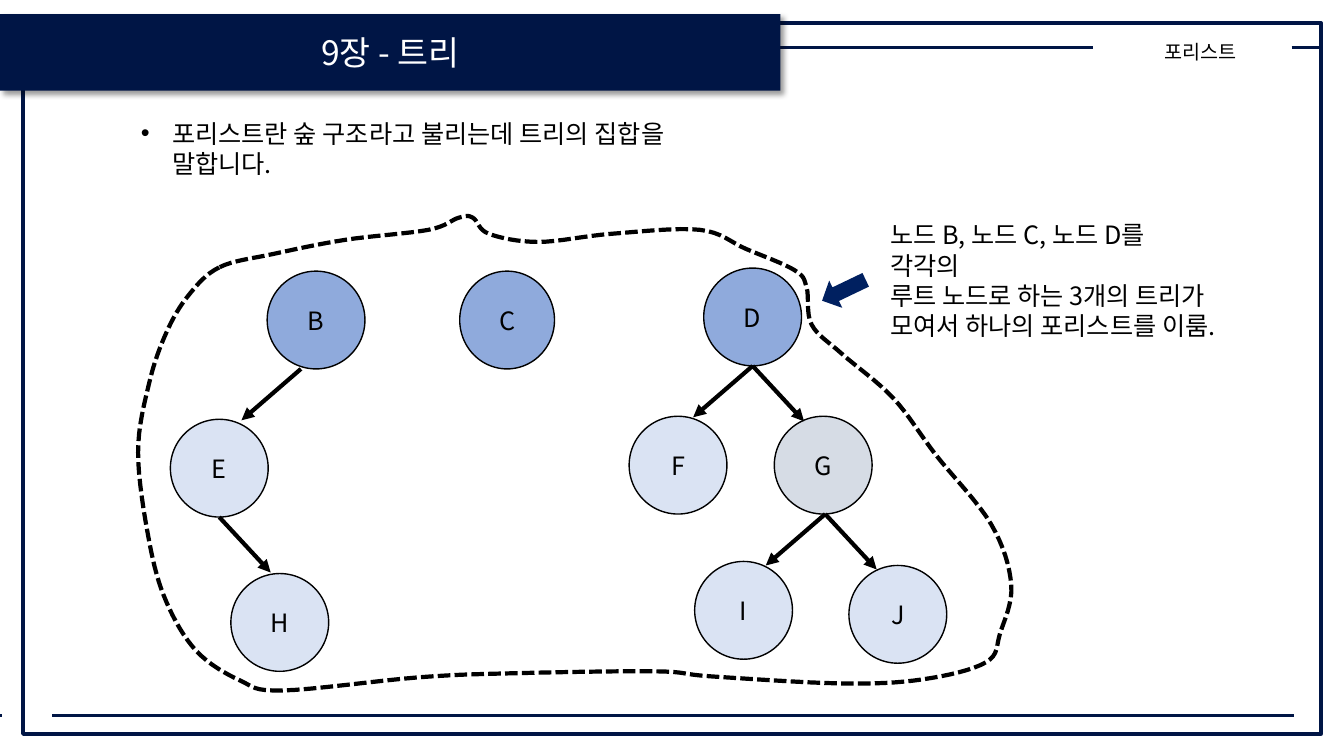
from lxml import etree
from pptx import Presentation
from pptx import util as u
from pptx.dml.color import RGBColor
from pptx.enum import dml, shapes, text
from pptx.oxml import parse_xml
from pptx.oxml.ns import nsdecls, qn

FONT = "Noto Sans CJK KR"
BLACK = RGBColor(0, 0, 0)
WHITE = RGBColor(255, 255, 255)
NAVY = RGBColor(0x00, 0x15, 0x45)
ARROW = RGBColor(0x00, 0x20, 0x60)
ROOT = RGBColor(0x8F, 0xAA, 0xDC)
LEAF = RGBColor(0xDA, 0xE3, 0xF3)
GRAY = RGBColor(0xD6, 0xDC, 0xE5)

RULES = [  # x1, x2, y
    (7.74, 10.84, 0.47), (12.81, 13.1, 0.47),
    (0.52, 12.83, 7.1), (0, 0.02, 7.1),
]

SIZE = 0.97
NODES = {  # label: left, top, width, colour
    "B": (2.65, 2.69, SIZE, ROOT),
    "C": (4.56, 2.69, 0.94, ROOT),
    "D": (6.98, 2.66, SIZE, ROOT),
    "E": (1.69, 4.16, SIZE, LEAF),
    "F": (6.24, 4.13, SIZE, LEAF),
    "G": (7.68, 4.13, SIZE, GRAY),
    "H": (2.29, 5.69, SIZE, LEAF),
    "I": (6.89, 5.57, SIZE, LEAF),
    "J": (8.42, 5.61, SIZE, LEAF),
}
# An edge leaves the bottom of its parent and takes one of two steps.
LEFT, RIGHT = (-0.59, 0.51), (0.51, 0.55)
BRANCHES = {"B": [LEFT], "E": [RIGHT], "D": [LEFT, RIGHT], "G": [LEFT, RIGHT]}
SHIFT = {"B": -0.15, "G": 0.02}  # sideways from the bottom centre

# Bends of the forest border, clockwise; a smooth curve joins them.
NORTH = [(2.18, 2.65), (2.71, 2.52), (3.42, 2.38), (4.25, 2.28), (4.55, 2.16),
         (4.69, 2.16), (4.85, 2.32), (5.34, 2.4), (6.06, 2.32), (6.94, 2.28)]
EAST = [(7.4, 2.47), (7.88, 2.68), (8, 2.85), (8.05, 3.22), (8.35, 3.51),
        (8.86, 3.95), (9.28, 4.51), (9.83, 5.2), (10.03, 5.8), (9.92, 6.28)]
SOUTH = [(9.78, 6.57), (9.15, 6.74), (8.34, 6.78), (7.05, 6.71), (6.5, 6.66),
         (5.06, 6.68), (4.15, 6.72), (2.8, 6.85), (2.38, 6.75)]
WEST = [(1.95, 6.46), (1.65, 5.97), (1.48, 5.37), (1.37, 4.49), (1.48, 3.8),
        (1.65, 3.3), (1.87, 2.93)]
STEPS = 8  # straight pieces between two bends


def inch(*nums):
    return [u.Inches(n) for n in nums]


def write(para, words, size, color=BLACK):
    run = para.add_run()
    run.text = words
    run.font.name = FONT
    run.font.size = u.Pt(size)
    run.font.color.rgb = color
    east = etree.SubElement(run.font._element, qn("a:ea"))
    east.set("typeface", FONT)


def center(frame, words, size, color=BLACK):
    """Write one line in the middle of a shape."""
    frame.vertical_anchor = text.MSO_ANCHOR.MIDDLE
    para = frame.paragraphs[0]
    para.alignment = text.PP_ALIGN.CENTER
    write(para, words, size, color)


def paint(shape, fill=None, line=None, width=1):
    """Set fill and outline; None leaves that part empty."""
    shape.shadow.inherit = False
    if fill is None:
        shape.fill.background()
    else:
        shape.fill.solid()
        shape.fill.fore_color.rgb = fill
    if line is None:
        shape.line.fill.background()
    else:
        shape.line.color.rgb = line
        shape.line.width = u.Pt(width)


def add_shape(slide, kind, box, **look):
    shape = slide.shapes.add_shape(kind, *inch(*box))
    paint(shape, **look)
    return shape


def add_rule(slide, ends, color, width, head=False):
    rule = slide.shapes.add_connector(
        shapes.MSO_CONNECTOR.STRAIGHT, *inch(*ends))
    rule.line.color.rgb = color
    rule.line.width = u.Pt(width)
    if head:
        tip = etree.SubElement(rule.line._get_or_add_ln(), qn("a:tailEnd"))
        tip.set("type", "triangle")
    etree.SubElement(rule._element.spPr, qn("a:effectLst"))


def add_title(slide, words):
    title = slide.shapes.title
    title.left, title.top, title.width, title.height = inch(0, 0.14, 7.74, 0.76)
    title.fill.solid()
    title.fill.fore_color.rgb = NAVY
    title._element.spPr.append(parse_xml(
        f'<a:effectLst {nsdecls("a")}><a:outerShdw blurRad="50800" dist="38100" '
        'dir="2700000"><a:srgbClr val="000000"><a:alpha val="40000"/>'
        '</a:srgbClr></a:outerShdw></a:effectLst>'))
    title.text_frame.auto_size = text.MSO_AUTO_SIZE.NONE
    center(title.text_frame, words, 24, WHITE)
    slide.shapes._spTree.append(title._element)  # in front of the frame


def add_note(slide, box, lines, size, bullet=False):
    frame = slide.shapes.add_textbox(*inch(*box)).text_frame
    frame.word_wrap = True
    for i, words in enumerate(lines):
        para = frame.add_paragraph() if i else frame.paragraphs[0]
        if bullet:
            props = para._p.get_or_add_pPr()
            props.set("marL", str(u.Inches(0.31)))
            props.set("indent", str(u.Inches(-0.31)))
            etree.SubElement(props, qn("a:buFont")).set("typeface", "Arial")
            etree.SubElement(props, qn("a:buChar")).set("char", "•")
        write(para, words, size)


def add_node(slide, label):
    left, top, width, color = NODES[label]
    node = add_shape(slide, shapes.MSO_SHAPE.OVAL, (left, top, width, SIZE),
                     fill=color, line=BLACK)
    center(node.text_frame, label, 18)


def add_edges(slide, parent):
    left, top, width, _ = NODES[parent]
    x, y = left + width / 2 + SHIFT.get(parent, 0), top + SIZE
    for dx, dy in BRANCHES[parent]:
        add_rule(slide, (x, y, x + dx, y + dy), BLACK, 3, head=True)


def blend(a, b, c, d, t):
    """Catmull-Rom value between b and c, for t from 0 to 1."""
    return b + t / 2 * (c - a + t * (2 * a - 5 * b + 4 * c - d
                                     + t * (3 * (b - c) + d - a)))


def smooth(bends):
    """Points of a closed curve through all bends."""
    count = len(bends)
    curve = []
    for i in range(count):
        near = [bends[(i + k) % count] for k in (-1, 0, 1, 2)]
        for step in range(STEPS):
            curve.append([blend(*axis, step / STEPS) for axis in zip(*near)])
    return curve


def add_border(slide):
    first, *rest = [inch(*spot) for spot in smooth(NORTH + EAST + SOUTH + WEST)]
    outline = slide.shapes.build_freeform(*first)
    outline.add_line_segments(rest, close=True)
    border = outline.convert_to_shape()
    paint(border, line=BLACK, width=3)
    border.line.dash_style = dml.MSO_LINE.SQUARE_DOT


def main():
    deck = Presentation()
    deck.slide_width, deck.slide_height = inch(13.33, 7.5)
    slide = deck.slides.add_slide(deck.slide_layouts[5])

    add_shape(slide, shapes.MSO_SHAPE.RECTANGLE, (0.23, 0.23, 12.87, 7.05),
              line=NAVY, width=3)
    for x1, x2, y in RULES:
        add_rule(slide, (x1, y, x2, y), NAVY, 2)
    add_title(slide, "9장 - 트리")
    add_note(slide, (11.45, 0.35, 1.18, 0.34), ["포리스트"], 14)

    for label in NODES:
        add_node(slide, label)
    for parent in BRANCHES:
        add_edges(slide, parent)
    add_border(slide)

    add_note(slide, (1.3, 1.12, 6.2, 0.4),
             ["포리스트란 숲 구조라고 불리는데 트리의 집합을 말합니다."], 18, bullet=True)
    arrow = add_shape(slide, shapes.MSO_SHAPE.DOWN_ARROW,
                      (8.22, 2.64, 0.3, 0.48), fill=ARROW)
    arrow.rotation = 64.4
    add_note(slide, (8.73, 2.13, 3.4, 1.01),
             ["노드 B, 노드 C, 노드 D를 각각의",
              "루트 노드로 하는 3개의 트리가",
              "모여서 하나의 포리스트를 이룸."], 18)
    deck.save("out.pptx")


if __name__ == "__main__":
    main()
